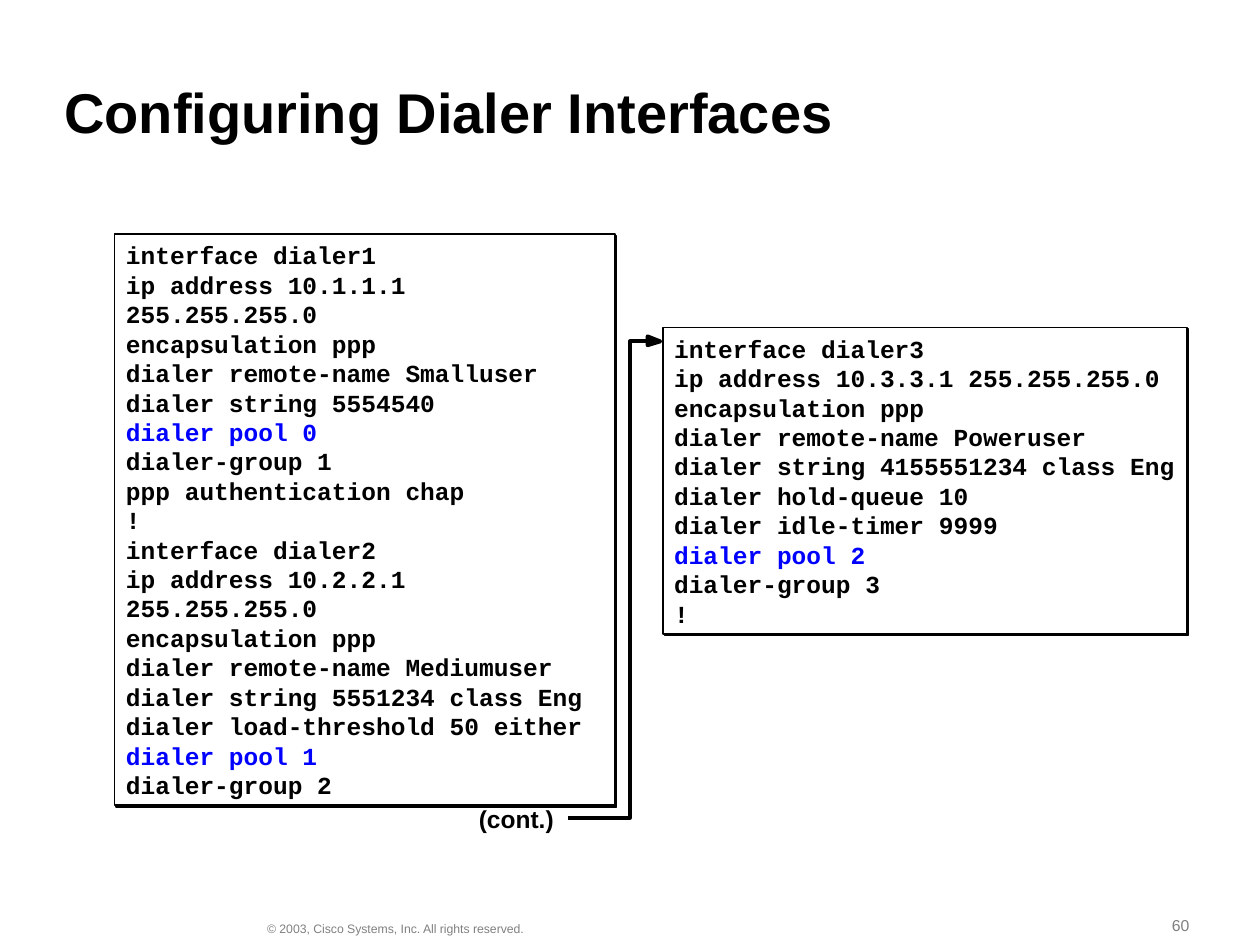
from lxml import etree
from pptx import Presentation
from pptx import util as u
from pptx.dml.color import RGBColor
from pptx.enum import shapes, text
from pptx.oxml import ns

COLORS = {"ink": "000000", "paper": "FFFFFF", "pool": "0000FF", "footer": "808080"}

DIALERS_1_2 = """interface dialer1
ip address 10.1.1.1 255.255.255.0
encapsulation ppp
dialer remote-name Smalluser
dialer string 5554540
dialer pool 0
dialer-group 1
ppp authentication chap
!
interface dialer2
ip address 10.2.2.1 255.255.255.0
encapsulation ppp
dialer remote-name Mediumuser
dialer string 5551234 class Eng
dialer load-threshold 50 either
dialer pool 1
dialer-group 2"""

DIALER_3 = """interface dialer3
ip address 10.3.3.1 255.255.255.0
encapsulation ppp
dialer remote-name Poweruser
dialer string 4155551234 class Eng
dialer hold-queue 10
dialer idle-timer 9999
dialer pool 2
dialer-group 3
!"""


def rgb(name):
    return RGBColor.from_string(COLORS[name])


def set_font(paragraph, size, color="ink", face="Arial", bold=True):
    font = paragraph.font
    font.name, font.size, font.bold = face, u.Pt(size), bold
    font.color.rgb = rgb(color)


def set_frame(frame, wrap, inset, anchor=text.MSO_ANCHOR.TOP):
    frame.word_wrap = wrap
    frame.vertical_anchor = anchor
    frame.margin_left = frame.margin_right = u.Inches(0.09)
    frame.margin_top = frame.margin_bottom = u.Inches(inset)


def add_title(slide, wording):
    title = slide.shapes.title
    title.left, title.top = u.Inches(0.42), u.Inches(0.28)
    title.width, title.height = u.Inches(8.34), u.Inches(0.92)
    set_frame(title.text_frame, True, 0.04, text.MSO_ANCHOR.BOTTOM)
    title.text_frame.text = wording
    line = title.text_frame.paragraphs[0]
    line.alignment = text.PP_ALIGN.LEFT
    line.line_spacing = 0.9
    set_font(line, 32)


def add_label(slide, wording, box, size, inset=0.04, anchor=text.MSO_ANCHOR.BOTTOM, **style):
    label = slide.shapes.add_textbox(*map(u.Inches, box))
    set_frame(label.text_frame, False, inset, anchor)
    label.text_frame.text = wording
    set_font(label.text_frame.paragraphs[0], size, **style)


def add_hard_shadow(shape):
    effects = etree.SubElement(shape._element.spPr, ns.qn("a:effectLst"))
    shadow = etree.SubElement(effects, ns.qn("a:outerShdw"), blurRad="0",
                              dist=str(u.Pt(1.4)), dir="2700000",
                              algn="ctr", rotWithShape="0")
    etree.SubElement(shadow, ns.qn("a:srgbClr"), val=COLORS["ink"])


def add_config(slide, code, box, wrap):
    panel = slide.shapes.add_shape(shapes.MSO_SHAPE.RECTANGLE, *map(u.Inches, box))
    panel.fill.solid()
    panel.fill.fore_color.rgb = rgb("paper")
    panel.line.color.rgb = rgb("ink")
    panel.line.width = u.Pt(1)
    add_hard_shadow(panel)
    frame = panel.text_frame
    set_frame(frame, wrap, 0.05)
    frame.text = code
    for command in frame.paragraphs:
        command.alignment = text.PP_ALIGN.LEFT
        color = "pool" if command.text.startswith("dialer pool") else "ink"
        set_font(command, 14, color, "Courier New")


def add_outline(slide, points, filled):
    corners = [(u.Inches(x), u.Inches(y)) for x, y in points]
    builder = slide.shapes.build_freeform(*corners[0])
    builder.add_line_segments(corners[1:], close=filled)
    outline = builder.convert_to_shape()
    outline.shadow.inherit = False
    if filled:
        outline.fill.solid()
        outline.fill.fore_color.rgb = rgb("ink")
    else:
        outline.fill.background()
    outline.line.color.rgb = rgb("ink")
    outline.line.width = u.Pt(2.25)


def main():
    deck = Presentation()
    deck.slide_width, deck.slide_height = u.Inches(10), u.Inches(7.5)
    slide = deck.slides.add_slide(deck.slide_layouts[5])

    # Footer
    add_label(slide, "60", (9.21, 7.22, 0.75, 0.24), 9, color="footer", bold=False)
    add_label(slide, "© 2003, Cisco Systems, Inc. All rights reserved.",
              (2.03, 7.26, 2.22, 0.21), 7, color="footer", bold=False)

    # Title and configuration listings
    add_title(slide, "Configuring Dialer Interfaces")
    add_config(slide, DIALERS_1_2, (0.91, 1.86, 3.97, 4.53), wrap=True)
    add_label(slide, "(cont.)", (3.71, 6.33, 0.78, 0.32), 14, 0.05, text.MSO_ANCHOR.TOP)
    add_config(slide, DIALER_3, (5.26, 2.6, 4.16, 2.43), wrap=False)

    # Continuation arrow: head, then elbow
    add_outline(slide, [(5.14, 2.67), (5.24, 2.71), (5.14, 2.74)], filled=True)
    add_outline(slide, [(4.51, 6.49), (5, 6.49), (5, 2.71), (5.14, 2.71)], filled=False)

    deck.save("out.pptx")


if __name__ == "__main__":
    main()
